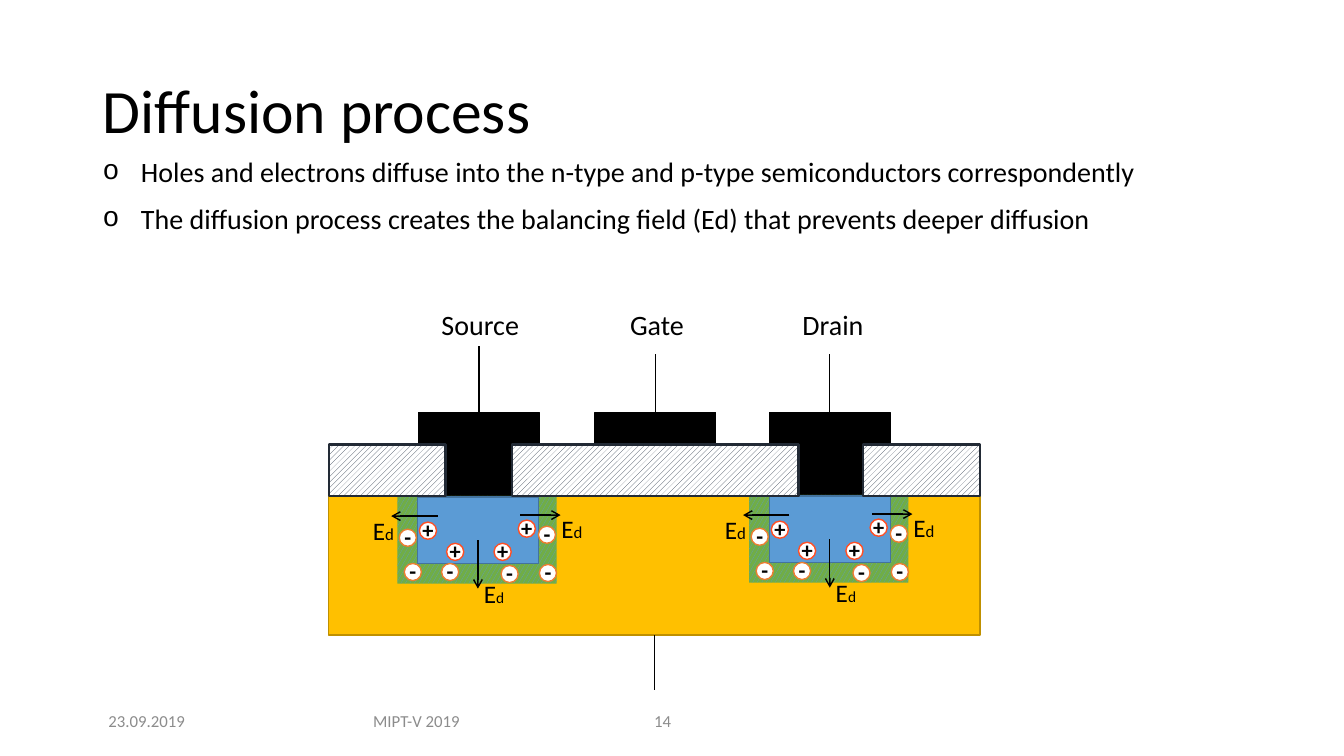
from lxml import etree
from pptx import Presentation
from pptx.dml.color import RGBColor
from pptx.enum.dml import MSO_PATTERN
from pptx.enum.shapes import MSO_CONNECTOR, MSO_SHAPE
from pptx.enum.text import MSO_ANCHOR, MSO_AUTO_SIZE, PP_ALIGN
from pptx.oxml.ns import qn
from pptx.util import Inches, Pt

RECT, OVAL = MSO_SHAPE.RECTANGLE, MSO_SHAPE.OVAL
STRAIGHT = MSO_CONNECTOR.STRAIGHT
HATCH, CONFETTI = MSO_PATTERN.WIDE_UPWARD_DIAGONAL, MSO_PATTERN.LARGE_CONFETTI
MIDDLE, TOP = MSO_ANCHOR.MIDDLE, MSO_ANCHOR.TOP
LEFT, CENTER = PP_ALIGN.LEFT, PP_ALIGN.CENTER
FIT, FIXED = MSO_AUTO_SIZE.SHAPE_TO_FIT_TEXT, MSO_AUTO_SIZE.NONE
FONT, BLACK, WHITE, GREY = "Calibri", "000000", "FFFFFF", "8C8C8C"

TITLE = "Diffusion process"
BULLETS = [
    "Holes and electrons diffuse into the n-type and p-type semiconductors correspondently",
    "The diffusion process creates the balancing field (Ed) that prevents deeper diffusion",
]
FOOTERS = [  # text, left, width, alignment
    ("23.09.2019", 0.92, 1.07, CENTER),
    ("MIPT-V 2019", 3.34, 1.58, CENTER),
    ("14", 6.39, 0.79, LEFT),
]
SURFACE = 4.91  # top of the substrate
SUBSTRATE = (3.26, SURFACE, 6.46, 1.39)
ELECTRODE_TOP, ELECTRODE_W = 4.09, 1.2
ELECTRODES = [  # name, electrode left, label left, label width, lead top
    ("Source", 4.15, 4.28, 0.97, 3.43),
    ("Gate", 5.9, 6.15, 0.75, 3.51),
    ("Drain", 7.63, 7.86, 0.82, 3.51),
]
OXIDE = [(3.26, 1.16), (5.08, 2.84), (8.56, 1.16)]  # left, width

# Wells share one design; offsets below are from a well's top left corner.
WELLS = [(3.94, SURFACE + 0.01), (7.43, SURFACE)]
ION = 0.17
IONS = [  # sign, outline, bottom inset, positions
    ("+", "FF4F25", 0.02, [(0.22, 0.26), (0.49, 0.47), (0.96, 0.47), (1.2, 0.24)]),
    ("-", "ED7D31", 0.03, [(0.02, 0.33), (0.07, 0.67), (0.44, 0.67),
                           (1.03, 0.69), (1.4, 0.3), (1.41, 0.68)]),
]
FIELD_ARROWS = [
    ((0.8, 0.44), (0.8, 0.92)),
    ((0.4, 0.2), (-0.06, 0.2)),
    ((1.22, 0.19), (1.62, 0.19)),
]
FIELD_LABELS = [  # dx, dy, width, size of the index
    (1.53, 0.12, 0.43, 12), (0.76, 0.77, 0.41, 11), (-0.34, 0.14, 0.43, 12),
]

prs = Presentation()
prs.slide_width, prs.slide_height = Inches(13.33), Inches(7.5)
slide = prs.slides.add_slide(prs.slide_layouts[5])
shapes = slide.shapes


def rgb(color):
    return RGBColor.from_string(color)


def box(x, y, w, h, fill, line=None, width=1, kind=RECT, pattern=None):
    """Add a shape; with a pattern, fill is a (foreground, background) pair."""
    sp = shapes.add_shape(kind, *map(Inches, (x, y, w, h)))
    sp.shadow.inherit = False
    if pattern is None:
        sp.fill.solid()
        sp.fill.fore_color.rgb = rgb(fill)
    else:
        sp.fill.patterned()
        sp.fill.pattern = pattern
        sp.fill.fore_color.rgb, sp.fill.back_color.rgb = map(rgb, fill)
    if line:
        sp.line.color.rgb = rgb(line)
        sp.line.width = Pt(width)
    else:
        sp.line.fill.background()
    return sp


def connect(start, end, arrow=False):
    cn = shapes.add_connector(STRAIGHT, *map(Inches, (*start, *end)))
    cn.line.color.rgb = rgb(BLACK)
    cn.line.width = Pt(1)
    if arrow:
        etree.SubElement(cn.line._get_or_add_ln(), qn("a:tailEnd"), type="arrow")
    etree.SubElement(cn._element.spPr, qn("a:effectLst"))
    return cn


def style(font, size, color=BLACK, bold=False):
    for key, value in {"name": FONT, "size": Pt(size), "bold": bold}.items():
        setattr(font, key, value)
    font.color.rgb = rgb(color)


def write(p, runs, color=BLACK, bold=False, align=LEFT):
    """Fill a paragraph with (text, size) runs."""
    p.alignment = align
    for text, size in runs:
        r = p.add_run()
        r.text = text
        style(r.font, size, color, bold)


def textbox(x, y, w, h, wrap=False, anchor=TOP):
    tf = shapes.add_textbox(*map(Inches, (x, y, w, h))).text_frame
    frame = {"word_wrap": wrap, "auto_size": FIXED if wrap else FIT,
             "vertical_anchor": anchor}
    for key, value in frame.items():
        setattr(tf, key, value)
    return tf


def add_ion(x, y, sign, outline, inset):
    sp = box(x, y, ION, ION, WHITE, outline, kind=OVAL)
    tf = sp.text_frame
    frame = {"margin_left": 0, "margin_right": 0, "margin_top": 0,
             "margin_bottom": Inches(inset), "word_wrap": False,
             "vertical_anchor": MIDDLE}
    for key, value in frame.items():
        setattr(tf, key, value)
    write(tf.paragraphs[0], [(sign, 16)], bold=True, align=CENTER)


def add_well(x, y):
    box(x, y, 1.58, 0.87, ("5B9BD5", "70AD47"), pattern=CONFETTI)
    box(x + 0.2, y + 0.01, ELECTRODE_W, 0.66, "5B9BD5", "43739E")
    for sign, outline, inset, places in IONS:
        for dx, dy in places:
            add_ion(x + dx, y + dy, sign, outline, inset)
    for (x1, y1), (x2, y2) in FIELD_ARROWS:
        connect((x + x1, y + y1), (x + x2, y + y2), arrow=True)
    for dx, dy, w, index_size in FIELD_LABELS:
        tf = textbox(x + dx, y + dy, w, 0.4)
        write(tf.paragraphs[0], [("E", 18), ("d", index_size)])


def add_title():
    title = shapes.title
    for key, value in zip(("left", "top", "width", "height"), (0.92, 0.4, 11.5, 1.45)):
        setattr(title, key, Inches(value))
    tf = title.text_frame
    tf.vertical_anchor = MIDDLE
    tf.paragraphs[0].line_spacing = 0.9
    write(tf.paragraphs[0], [(TITLE, 44)])


def add_bullets():
    tf = textbox(0.92, 1.52, 11.16, 1.19, wrap=True)
    for i, text in enumerate(BULLETS):
        p = tf.add_paragraph() if i else tf.paragraphs[0]
        p.line_spacing = 0.9
        p.space_before = Pt(12 if i else 0)
        pPr = p._p.get_or_add_pPr()
        pPr.set("marL", str(Inches(0.38)))
        pPr.set("indent", str(-Inches(0.38)))
        etree.SubElement(pPr, qn("a:buFont"), typeface="Courier New")
        etree.SubElement(pPr, qn("a:buChar"), char="o")
        write(p, [(text, 20)])


def add_transistor():
    substrate = box(*SUBSTRATE, "FFC000", "BF9000")
    for name, x, label_x, label_w, lead_top in ELECTRODES:
        electrode = box(x, ELECTRODE_TOP, ELECTRODE_W, SURFACE - ELECTRODE_TOP, BLACK, BLACK)
        middle = x + ELECTRODE_W / 2
        lead = connect((middle, ELECTRODE_TOP), (middle, lead_top))
        lead.begin_connect(electrode, 0)
        write(textbox(label_x, 3, label_w, 0.44).paragraphs[0], [(name, 20)])
    x, y, w, h = SUBSTRATE
    connect((x + w / 2, y + h), (x + w / 2, 6.85)).begin_connect(substrate, 2)
    for well in WELLS:
        add_well(*well)
    for x, w in OXIDE:
        box(x, 4.41, w, 0.51, ("333F50", WHITE), "222A35", 1.5, pattern=HATCH)


add_title()
add_bullets()
add_transistor()
for text, x, w, align in FOOTERS:
    tf = textbox(x, 6.95, w, 0.4, wrap=True, anchor=MIDDLE)
    write(tf.paragraphs[0], [(text, 12)], GREY, align=align)
prs.save("out.pptx")
